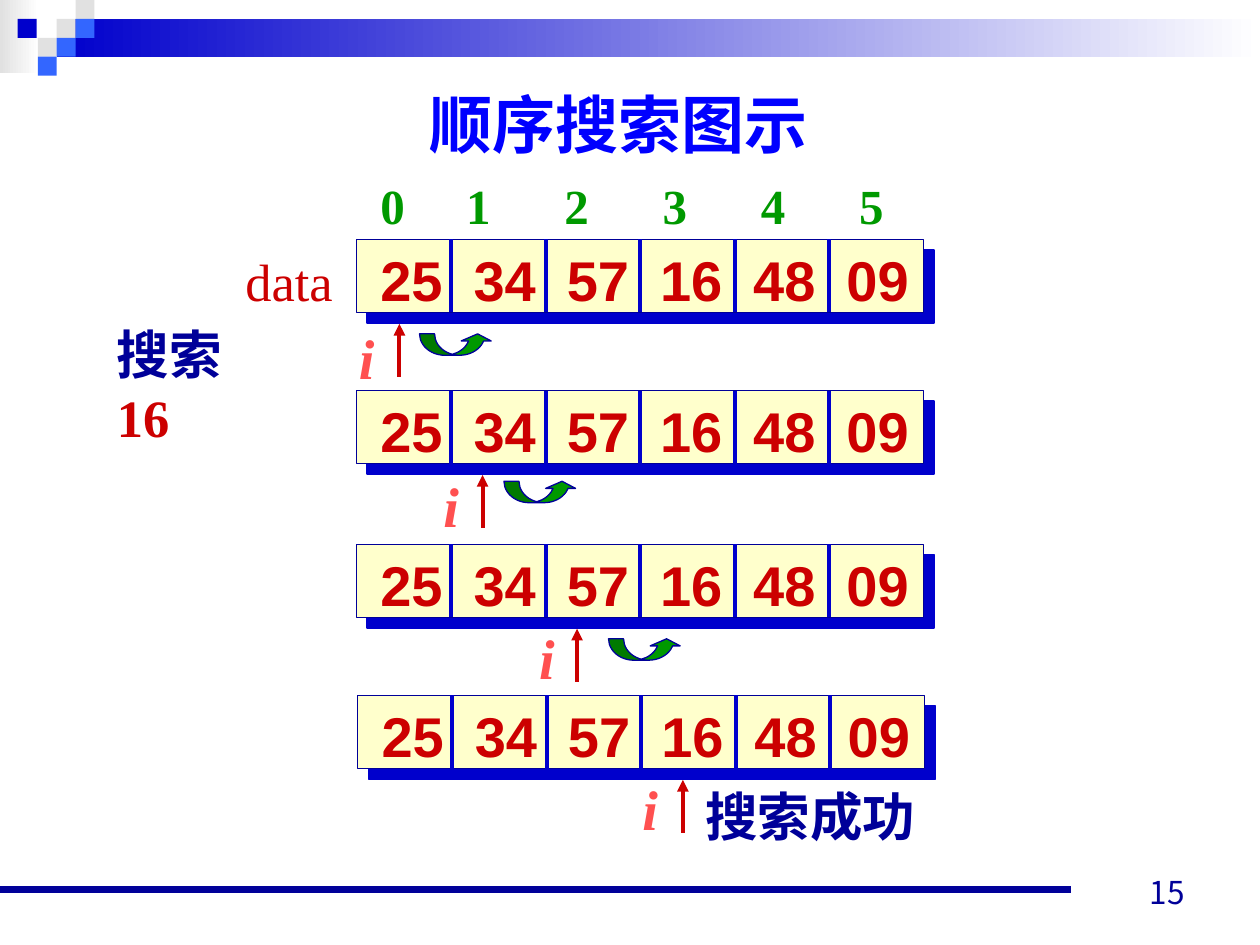
import pptx
import pptx.util
import pptx.dml.color
import pptx.enum.dml
import pptx.enum.shapes
import pptx.enum.text
from lxml import etree
from pptx.oxml import ns

Inches = pptx.util.Inches
Pt = pptx.util.Pt
RGB = pptx.dml.color.RGBColor
SHAPE = pptx.enum.shapes.MSO_SHAPE
ALIGN = pptx.enum.text.PP_ALIGN
ANCHOR = pptx.enum.text.MSO_ANCHOR

BLUE = RGB(0x00, 0x00, 0xCC)
LIGHT_BLUE = RGB(0x33, 0x66, 0xFF)
TITLE_BLUE = RGB(0x00, 0x00, 0xFF)
NAVY = RGB(0x00, 0x00, 0x99)
GRAY = RGB(0xE1, 0xE1, 0xE1)
WHITE = RGB(0xFF, 0xFF, 0xFF)
CREAM = RGB(0xFF, 0xFF, 0xCC)
RED = RGB(0xCC, 0x00, 0x00)
PINK = RGB(0xFF, 0x50, 0x50)
GREEN = RGB(0x00, 0x99, 0x00)

SANS = "Arial"
SERIF = "Times New Roman"
CJK = "Noto Sans CJK JP"


class Deck:
    def __init__(self):
        self.prs = pptx.Presentation()
        self.prs.slide_width = Inches(10)
        self.prs.slide_height = Inches(7.5)
        self.s = self.prs.slides.add_slide(self.prs.slide_layouts[5])

    def run(self, p, text, size, color, font=SERIF, bold=True, italic=False):
        r = p.add_run()
        r.text = text
        r.font.size = Pt(size)
        r.font.name = font
        r.font.bold = bold
        r.font.italic = italic
        r.font.color.rgb = color
        ea = etree.SubElement(r.font._element, ns.qn("a:ea"))
        ea.set("typeface", CJK)

    def title(self, text, x, y, w, h):
        sp = self.s.shapes.title
        sp.left, sp.top, sp.width, sp.height = map(Inches, (x, y, w, h))
        tf = sp.text_frame
        tf.vertical_anchor = ANCHOR.MIDDLE
        p = tf.paragraphs[0]
        p.alignment = ALIGN.CENTER
        self.run(p, text, 36, TITLE_BLUE, SANS)

    def text(self, x, y, w, h, wrap=False, align=ALIGN.LEFT, anchor=ANCHOR.TOP):
        sp = self.s.shapes.add_textbox(Inches(x), Inches(y), Inches(w), Inches(h))
        tf = sp.text_frame
        tf.word_wrap = wrap
        tf.vertical_anchor = anchor
        p = tf.paragraphs[0]
        p.alignment = align
        return p

    def tabs(self, p, first, step, count):
        tab_list = etree.SubElement(p._p.get_or_add_pPr(), ns.qn("a:tabLst"))
        for i in range(count):
            tab = etree.SubElement(tab_list, ns.qn("a:tab"))
            tab.set("pos", str(Inches(first + i * step)))
            tab.set("algn", "l")

    def shape(self, kind, x, y, w, h, fill, line=None):
        sp = self.s.shapes.add_shape(kind, Inches(x), Inches(y), Inches(w), Inches(h))
        sp.shadow.inherit = False
        sp.fill.solid()
        sp.fill.fore_color.rgb = fill
        if line is None:
            sp.line.fill.background()
        else:
            sp.line.color.rgb = line
            sp.line.width = Pt(0.75)
        return sp

    def fade(self, x, y, w, h, color):
        sp = self.shape(SHAPE.RECTANGLE, x, y, w, h, color)
        sp.fill.gradient()
        sp.fill.gradient_angle = 0
        for stop, rgb, position in zip(sp.fill.gradient_stops, (color, WHITE), (0, 1)):
            stop.color.rgb = rgb
            stop.position = position

    def cast_shadow(self, sp, color):
        effects = sp._element.spPr.find(ns.qn("a:effectLst"))
        shadow = etree.SubElement(effects, ns.qn("a:outerShdw"), dist=str(Pt(8.5)),
                                  dir="2700000", algn="ctr", rotWithShape="0")
        etree.SubElement(shadow, ns.qn("a:srgbClr"), val=str(color))

    def line(self, x1, y1, x2, y2, color, width=2.25, arrow=False):
        c = self.s.shapes.add_connector(pptx.enum.shapes.MSO_CONNECTOR.STRAIGHT,
                                        Inches(x1), Inches(y1), Inches(x2), Inches(y2))
        c.line.color.rgb = color
        c.line.width = Pt(width)
        if arrow:
            etree.SubElement(c.line._get_or_add_ln(), ns.qn("a:tailEnd"), type="triangle")
        etree.SubElement(c._element.spPr, ns.qn("a:effectLst"))
        return c

    def array(self, x, y, values):
        w, h, cell = 4.5, 0.58, 0.75
        box = self.shape(SHAPE.RECTANGLE, x, y, w, h, CREAM, NAVY)
        self.cast_shadow(box, BLUE)
        for i in range(1, len(values)):
            divider = self.line(x + i * cell, y, x + i * cell, y + h, BLUE)
            if 2 * i == len(values):
                divider.begin_connect(box, 0)
                divider.end_connect(box, 2)
        p = self.text(x + 0.09, y, w, 0.63, wrap=True)
        self.tabs(p, 0.74, 0.74, len(values) - 1)
        self.run(p, "\t".join(values), 32, RED, SANS)

    def pointer(self, label_x, label_y, arrow_x, row_y):
        self.line(arrow_x, row_y + 1.09, arrow_x, row_y + 0.67, RED, arrow=True)
        self.run(self.text(label_x, label_y, 0.32, 0.63), "i", 32, PINK, italic=True)

    def hop(self, x, y):
        sp = self.shape(SHAPE.CURVED_UP_ARROW, x, y, 0.58, 0.17, GREEN, NAVY)
        for i, value in enumerate((0.7, 1.4, 0.333)):
            sp.adjustments[i] = value


def main():
    d = Deck()

    d.fade(0, 0, 0.31, 0.58, GRAY)
    d.fade(0.45, 0.15, 9.55, 0.3, BLUE)
    for x, y, color in ((0.45, 0.15, GRAY), (0.6, 0, GRAY), (0.6, 0.15, LIGHT_BLUE),
                        (0.3, 0.3, GRAY), (0.14, 0.15, BLUE),
                        (0.45, 0.3, LIGHT_BLUE), (0.3, 0.45, LIGHT_BLUE)):
        d.shape(SHAPE.RECTANGLE, x, y, 0.15, 0.15, color)
    d.line(0, 7.06, 8.5, 7.06, NAVY, 4.5)
    number = d.text(7.17, 6.78, 2.33, 0.5, True, ALIGN.RIGHT, ANCHOR.BOTTOM)
    d.run(number, "15", 18, NAVY, CJK, bold=False)

    d.title("顺序搜索图示", 2.57, 0.56, 4.67, 0.83)

    indexes = d.text(2.92, 1.34, 4.28, 0.57)
    d.tabs(indexes, 0.68, 0.78, 5)
    d.run(indexes, "\t".join(map(str, range(6))), 28, GREEN)
    d.run(d.text(1.85, 1.93, 0.9, 0.6), "data", 30, RED, bold=False)
    target = d.text(0.83, 2.51, 1.5, 0.6, wrap=True)
    d.run(target, "搜索 ", 30, NAVY)
    d.run(target, "16", 30, RED)

    values = ("25", "34", "57", "16", "48", "09")
    steps = ((2.83, 1.9, 2.75, 2.52, 3.17), (2.83, 3.1, 3.42, 3.69, 3.83),
             (2.83, 4.32, 4.18, 4.9, 4.58), (2.84, 5.52, 5, 6.1, 5.42))
    for x, y, label_x, label_y, arrow_x in steps:
        d.array(x, y, values)
        d.pointer(label_x, label_y, arrow_x, y)
    for x, y in ((3.33, 2.65), (4, 3.82), (4.83, 5.07)):
        d.hop(x, y)
    d.run(d.text(5.5, 6.17, 1.88, 0.6), "搜索成功", 30, NAVY)

    d.prs.save("out.pptx")


if __name__ == "__main__":
    main()
